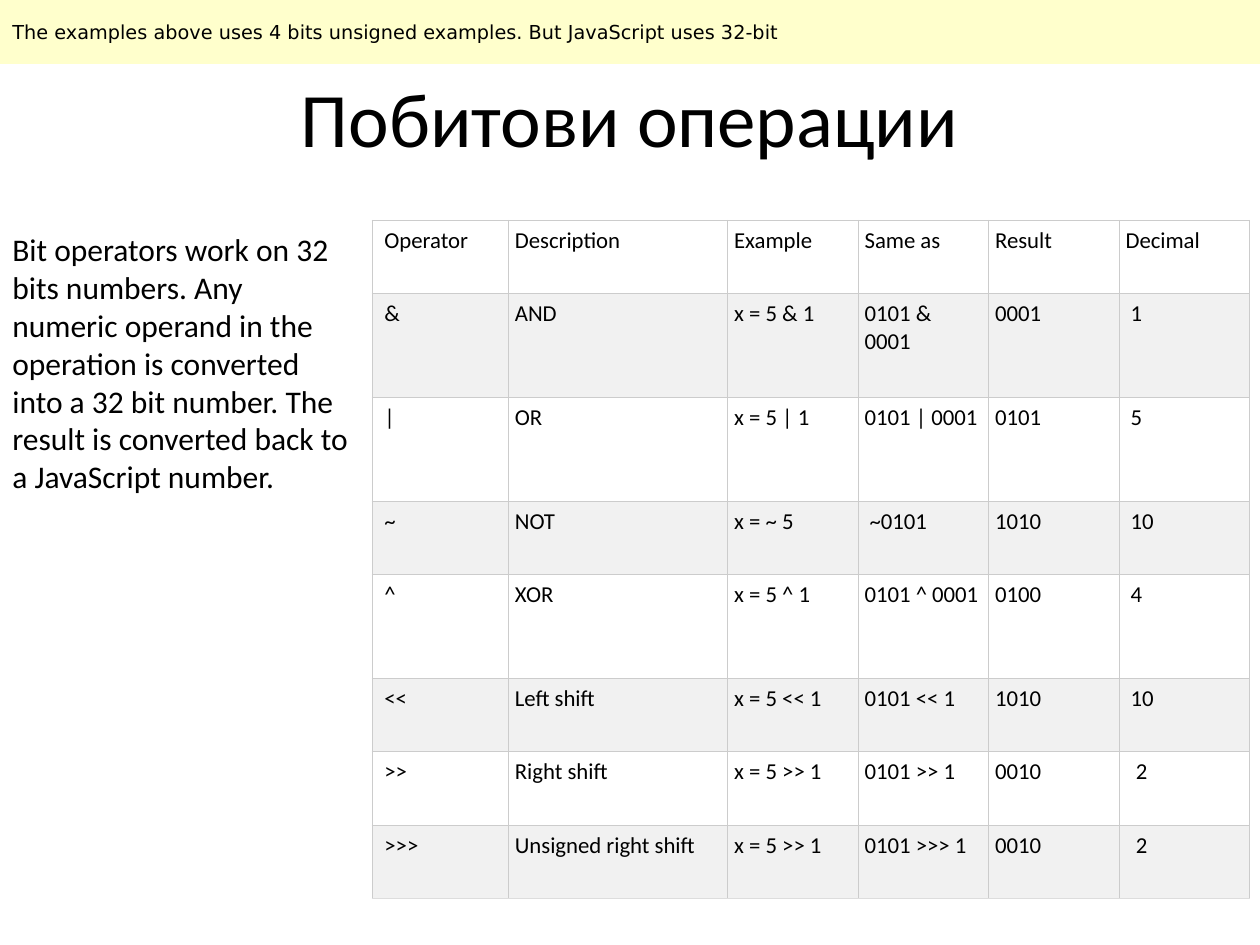
from lxml.etree import SubElement
from pptx import Presentation
from pptx.dml.color import RGBColor
from pptx.enum.shapes import MSO_SHAPE
from pptx.enum.text import MSO_ANCHOR, PP_ALIGN
from pptx.oxml.ns import qn
from pptx.util import Cm, Pt

BLACK = RGBColor(0x00, 0x00, 0x00)
WHITE = RGBColor(0xFF, 0xFF, 0xFF)
GREY = RGBColor(0xF1, 0xF1, 0xF1)
CREAM = RGBColor(0xFF, 0xFF, 0xCC)
EDGE = RGBColor(0xCC, 0xCC, 0xCC)
BASE = RGBColor(0xDD, 0xDD, 0xDD)

TITLE = "Побитови операции"
INTRO = ("Bit operators work on 32 bits numbers. Any numeric operand in the "
         "operation is converted into a 32 bit number. The result is "
         "converted back to a JavaScript number.")
NOTE = ("The examples above uses 4 bits unsigned examples. "
        "But JavaScript uses 32-bit")

ROWS = [
    ("Operator", "Description", "Example", "Same as", "Result", "Decimal"),
    ("&", "AND", "x = 5 & 1", "0101 & 0001", "0001", "1"),
    ("|", "OR", "x = 5 | 1", "0101 | 0001", "0101", "5"),
    ("~", "NOT", "x = ~ 5", "~0101", "1010", "10"),
    ("^", "XOR", "x = 5 ^ 1", "0101 ^ 0001", "0100", "4"),
    ("<<", "Left shift", "x = 5 << 1", "0101 << 1", "1010", "10"),
    (">>", "Right shift", "x = 5 >> 1", "0101 >> 1", "0010", "2"),
    (">>>", "Unsigned right shift", "x = 5 >> 1", "0101 >>> 1", "0010", "2"),
]
WIDTHS = [2.75, 4.42] + [2.63] * 4
TALL = {"&", "|", "^"}  # operators with a taller row


def write(frame, text, size, name="Calibri", align=PP_ALIGN.LEFT):
    para = frame.paragraphs[0]
    para.text = text
    para.alignment = align
    para.font.size = Pt(size)
    para.font.name = name
    para.font.color.rgb = BLACK


def add_text(slide, box, text, size, align=PP_ALIGN.LEFT,
             anchor=MSO_ANCHOR.TOP):
    frame = slide.shapes.add_textbox(*map(Cm, box)).text_frame
    frame.word_wrap = True
    frame.vertical_anchor = anchor
    write(frame, text, size, align=align)


def add_note(slide, box):
    bar = slide.shapes.add_shape(MSO_SHAPE.RECTANGLE, *map(Cm, box))
    bar.shadow.inherit = False
    bar.fill.solid()
    bar.fill.fore_color.rgb = CREAM
    bar.line.fill.background()
    frame = bar.text_frame
    frame.word_wrap = False
    frame.vertical_anchor = MSO_ANCHOR.MIDDLE
    frame.margin_top = frame.margin_bottom = Cm(0.33)
    write(frame, NOTE, 11, "DejaVu Sans")


def add_edges(cell, last):
    props = cell._tc.get_or_add_tcPr()
    for side in ("lnL", "lnR", "lnT", "lnB"):
        line = SubElement(props, qn("a:" + side), w=str(Pt(0.6)))
        fill = SubElement(line, qn("a:solidFill"))
        color = BASE if last and side == "lnB" else EDGE
        SubElement(fill, qn("a:srgbClr"), val=str(color))


def get_inset(row, col):
    """Left inset in cm: first column, shifted values, then the rest."""
    if col == 0:
        return 0.25
    if row and col == 5:
        return 0.34 if row >= 6 else 0.23
    return 0.23 if (row, col) == (3, 3) else 0.13


def add_grid(slide, box):
    table = slide.shapes.add_table(len(ROWS), len(WIDTHS),
                                   *map(Cm, box)).table
    table.first_row = table.horz_banding = False
    for column, width in zip(table.columns, WIDTHS):
        column.width = Cm(width)
    for r, values in enumerate(ROWS):
        table.rows[r].height = Cm(2.09 if values[0] in TALL else 1.48)
        for c, text in enumerate(values):
            cell = table.cell(r, c)
            cell.margin_left = Cm(get_inset(r, c))
            cell.margin_right = cell.margin_top = Cm(0.13)
            cell.margin_bottom = Cm(0.13)
            add_edges(cell, r == len(ROWS) - 1)
            cell.fill.solid()
            cell.fill.fore_color.rgb = GREY if r % 2 else WHITE
            write(cell.text_frame, text, 13)


def main():
    deck = Presentation()
    deck.slide_width, deck.slide_height = Cm(25.4), Cm(19.05)
    slide = deck.slides.add_slide(deck.slide_layouts[6])
    # Title
    add_text(slide, (1.27, 0.76, 22.86, 3.18), TITLE, 44,
             PP_ALIGN.CENTER, MSO_ANCHOR.MIDDLE)
    # Operator table
    add_grid(slide, (7.5, 4.44, 17.69, 13.67))
    # Note across the top
    add_note(slide, (0, 0, 25.4, 1.29))
    # Introduction at the left
    add_text(slide, (0, 4.52, 7.29, 5.64), INTRO, 18)
    deck.save("out.pptx")


if __name__ == "__main__":
    main()
